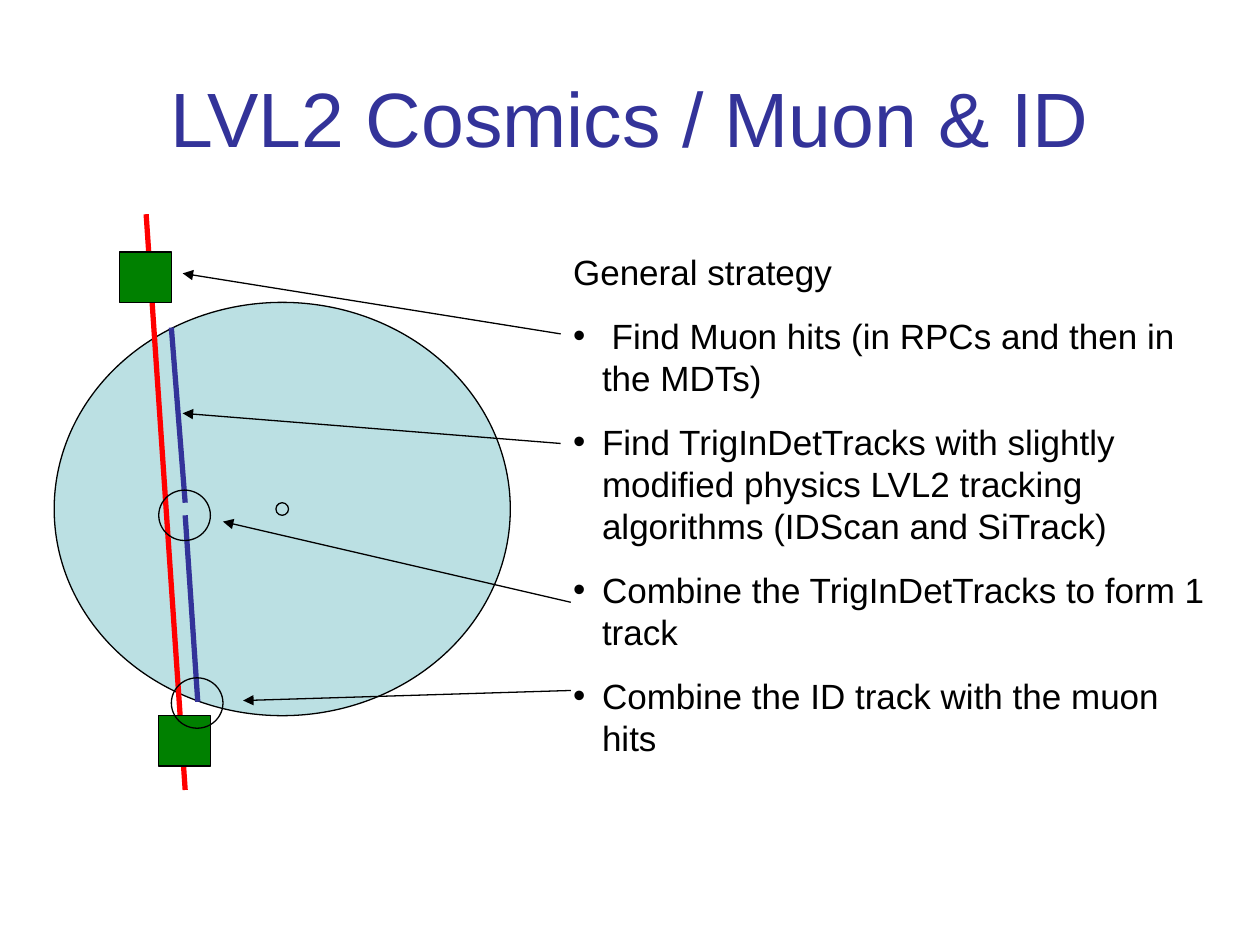
import pptx
import pptx.util
import pptx.dml.color
import pptx.enum.shapes
import pptx.enum.text
import pptx.oxml
import pptx.oxml.ns

Inches = pptx.util.Inches
Pt = pptx.util.Pt
RGBColor = pptx.dml.color.RGBColor
Shape = pptx.enum.shapes.MSO_SHAPE
Align = pptx.enum.text.PP_ALIGN
Anchor = pptx.enum.text.MSO_ANCHOR

BLACK = RGBColor(0x00, 0x00, 0x00)
INDIGO = RGBColor(0x33, 0x33, 0x99)
PALE_BLUE = RGBColor(0xBB, 0xE0, 0xE3)
RED = RGBColor(0xFF, 0x00, 0x00)
GREEN = RGBColor(0x00, 0x80, 0x00)

FONT = "Arial"
BULLET_INDENT = Inches(0.23)
MARKER_SIZE = (0.41, 0.4)

STRATEGY = [
    " Find Muon hits (in RPCs and then in the MDTs)",
    "Find TrigInDetTracks with slightly modified physics LVL2 tracking algorithms (IDScan and SiTrack)",
    "Combine the TrigInDetTracks to form 1 track",
    "Combine the ID track with the muon hits",
]


def add_element(parent, tag, **attributes):
    element = pptx.oxml.ns.qn(tag)
    child = parent.makeelement(element, attributes)
    parent.append(child)
    return child


def write_text(paragraph, text, size=20, color=BLACK, align=Align.LEFT,
               space_before=0, line_spacing=None, bullet=False):
    paragraph.alignment = align
    paragraph.space_before = Pt(space_before)
    if line_spacing:
        paragraph.line_spacing = Pt(line_spacing)
    run = paragraph.add_run()
    run.text = text
    run.font.name = FONT
    run.font.size = Pt(size)
    run.font.color.rgb = color
    if bullet:
        properties = paragraph._p.get_or_add_pPr()
        properties.set("marL", str(BULLET_INDENT))
        properties.set("indent", str(-BULLET_INDENT))
        add_element(properties, "a:buFont", typeface=FONT)
        add_element(properties, "a:buChar", char="•")


def add_text_frame(slide, left, top, width, height, anchor=Anchor.TOP):
    box = slide.shapes.add_textbox(Inches(left), Inches(top), Inches(width), Inches(height))
    box.text_frame.word_wrap = True
    box.text_frame.vertical_anchor = anchor
    return box.text_frame


def add_outlined_shape(shapes, kind, left, top, width, height, fill=None):
    shape = shapes.add_shape(kind, Inches(left), Inches(top), Inches(width), Inches(height))
    shape.shadow.inherit = False
    if fill is None:
        shape.fill.background()
    else:
        shape.fill.solid()
        shape.fill.fore_color.rgb = fill
    shape.line.color.rgb = BLACK
    shape.line.width = Pt(0.75)


def add_line(shapes, start, end, color=BLACK, width=0.75, arrow=False):
    line = shapes.add_connector(
        pptx.enum.shapes.MSO_CONNECTOR.STRAIGHT,
        Inches(start[0]), Inches(start[1]), Inches(end[0]), Inches(end[1]))
    line.line.color.rgb = color
    line.line.width = Pt(width)
    if arrow:
        add_element(line.line._get_or_add_ln(), "a:tailEnd", type="triangle")
    add_element(line._element.spPr, "a:effectLst")


def add_title(slide, left, top, width, height):
    frame = add_text_frame(slide, left, top, width, height, Anchor.MIDDLE)
    write_text(frame.paragraphs[0], "LVL2 Cosmics / Muon & ID",
               size=44, color=INDIGO, align=Align.CENTER)


def add_strategy(slide, left, top, width, height):
    frame = add_text_frame(slide, left, top, width, height)
    write_text(frame.paragraphs[0], "General strategy", line_spacing=24)
    for step in STRATEGY:
        write_text(frame.add_paragraph(), step, space_before=12.5,
                   line_spacing=24, bullet=True)


def add_detector(slide, left, top):
    shapes = slide.shapes.add_group_shape().shapes

    def track(start, end, color):
        add_line(shapes, (left + start[0], top + start[1]),
                 (left + end[0], top + end[1]), color, 3)

    add_outlined_shape(shapes, Shape.OVAL, left, top + 0.7, 3.62, 3.28, PALE_BLUE)
    track((0.73, 0), (1.04, 4.57), RED)
    add_outlined_shape(shapes, Shape.OVAL, left + 1.76, top + 2.29, 0.1, 0.1, PALE_BLUE)
    track((1.04, 2.29), (0.93, 0.9), INDIGO)
    track((1.04, 2.39), (1.14, 3.87), INDIGO)
    for x, y in [(0.52, 0.3), (0.83, 3.98)]:
        add_outlined_shape(shapes, Shape.RECTANGLE, left + x, top + y, *MARKER_SIZE, GREEN)
    for x, y in [(0.83, 2.19), (0.93, 3.68)]:
        add_outlined_shape(shapes, Shape.OVAL, left + x, top + y, *MARKER_SIZE)


def add_pointers(slide, left, top):
    pointers = [
        ((3.0, 0.48), (0, 0)),
        ((3.0, 1.35), (0, 1.11)),
        ((3.08, 2.61), (0.32, 1.97)),
        ((3.08, 3.31), (0.48, 3.39)),
    ]
    for start, end in pointers:
        add_line(slide.shapes, (left + start[0], top + start[1]),
                 (left + end[0], top + end[1]), arrow=True)


def main():
    presentation = pptx.Presentation()
    presentation.slide_width = Inches(10)
    presentation.slide_height = Inches(7.5)
    slide = presentation.slides.add_slide(presentation.slide_layouts[6])
    add_title(slide, 0.5, 0.3, 9, 1.25)
    add_strategy(slide, 4.45, 1.94, 5.36, 3.8)
    add_detector(slide, 0.43, 1.7)
    add_pointers(slide, 1.45, 2.17)
    presentation.save("out.pptx")


if __name__ == "__main__":
    main()
